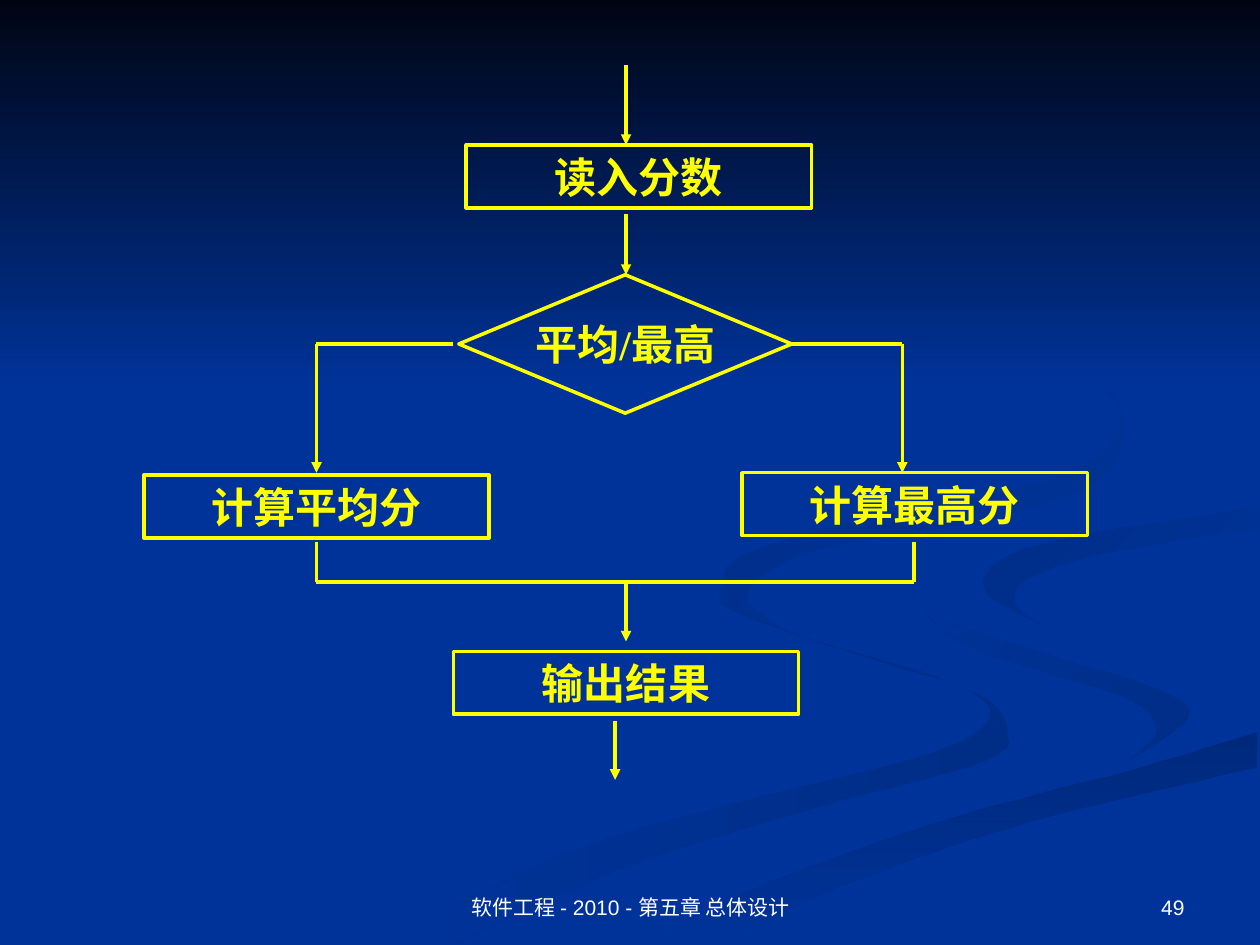
from lxml import etree
from pptx import Presentation
from pptx.dml.color import RGBColor
from pptx.enum.shapes import MSO_CONNECTOR, MSO_SHAPE
from pptx.enum.text import MSO_ANCHOR, PP_ALIGN
from pptx.oxml.ns import qn
from pptx.util import Cm, Pt

RECT, DIAMOND = MSO_SHAPE.RECTANGLE, MSO_SHAPE.FLOWCHART_DECISION
STRAIGHT = MSO_CONNECTOR.STRAIGHT
MIDDLE, BOTTOM = MSO_ANCHOR.MIDDLE, MSO_ANCHOR.BOTTOM
CENTER, RIGHT = PP_ALIGN.CENTER, PP_ALIGN.RIGHT

THEME = {
    "back": RGBColor(0x00, 0x33, 0x99),
    "night": RGBColor(0x00, 0x05, 0x14),
    "shade": RGBColor(0x00, 0x2D, 0x86),
    "deep": RGBColor(0x00, 0x29, 0x7C),
    "flow": RGBColor(0xFF, 0xFF, 0x00),
    "foot": RGBColor(0xFF, 0xFF, 0xFF),
    "flow_size": Pt(24),
    "foot_size": Pt(12),
    "flow_font": "Times New Roman",
    "foot_font": "Arial",
    "stroke": Pt(2),
}


def put_text(shape, text, role="flow", bold=False, align=CENTER, anchor=MIDDLE, wrap=True):
    frame = shape.text_frame
    frame.word_wrap = wrap
    frame.vertical_anchor = anchor
    para = frame.paragraphs[0]
    para.alignment = align
    run = para.add_run()
    run.text = text
    font = run.font
    font.name = THEME[role + "_font"]
    font.size = THEME[role + "_size"]
    font.color.rgb = THEME[role]
    font.bold = bold


def add_line(x1, y1, x2, y2, arrow=False):
    line = slide.shapes.add_connector(STRAIGHT, Cm(x1), Cm(y1), Cm(x2), Cm(y2))
    line.line.color.rgb = THEME["flow"]
    line.line.width = THEME["stroke"]
    if arrow:
        stroke = line.line._get_or_add_ln()
        etree.SubElement(stroke, qn("a:tailEnd"), type="triangle")
    etree.SubElement(line._element.spPr, qn("a:effectLst"))


deck = Presentation()
deck.slide_width, deck.slide_height = Cm(25.4), Cm(19.05)
slide = deck.slides.add_slide(deck.slide_layouts[6])
slide.background.fill.solid()
slide.background.fill.fore_color.rgb = THEME["back"]

# Ribbons: colours, angle and the two edges, each drawn as a smooth curve
GRID = Cm(2.54) / 100
STEPS = 6
ribbons = [
    ("shade", "back", 180,
     [(574, 464), (594, 485), (642, 507), (745, 538), (786, 566), (739, 598),
      (579, 639), (458, 674), (300, 749)],
     [(361, 749), (499, 687), (651, 640), (780, 605), (800, 581), (776, 551),
      (679, 519), (586, 487), (570, 472)]),
    ("shade", "back", 135,
     [(724, 464), (745, 490), (830, 519), (919, 547), (943, 570), (894, 605)],
     [(894, 605), (918, 581), (900, 557), (838, 536), (766, 512), (727, 479)]),
    ("deep", "back", 270,
     [(503, 749), (630, 693), (764, 647), (903, 610), (998, 581)],
     [(998, 609), (821, 651), (670, 702), (571, 749)]),
    ("back", "shade", 135,
     [(826, 496), (782, 469), (799, 442), (865, 424), (998, 402)],
     [(998, 420), (878, 439), (816, 459), (806, 480), (826, 496)]),
    ("back", "shade", 135,
     [(762, 233), (846, 279), (889, 335), (842, 378), (704, 409), (589, 441),
      (580, 474), (622, 500)],
     [(622, 500), (593, 470), (649, 436), (786, 412), (876, 378), (890, 324),
      (843, 275), (762, 233)]),
    ("night", "back", 270, [(0, 0), (1000, 0)], [(1000, 308), (0, 308)]),
]
for first, last, angle, *edges in ribbons:
    points = []
    for edge in edges:
        ends = [edge[0], *edge, edge[-1]]
        for a, b, c, d in zip(ends, ends[1:], ends[2:], ends[3:]):
            for step in range(STEPS):
                t = step / STEPS
                points.append(tuple(
                    q + t / 2 * (r - p + t * (2 * p - 5 * q + 4 * r - s
                                              + t * (3 * q - p - 3 * r + s)))
                    for p, q, r, s in zip(a, b, c, d)))
        points.append(edge[-1])
    path = slide.shapes.build_freeform(*points[0], scale=GRID)
    path.add_line_segments(points[1:], close=True)
    shape = path.convert_to_shape()
    shape.shadow.inherit = False
    shape.line.fill.background()
    shape.fill.gradient()
    shape.fill.gradient_angle = angle
    for stop, tone, place in zip(shape.fill.gradient_stops, (first, last), (0, 1)):
        stop.color.rgb = THEME[tone]
        stop.position = place

# Flow steps
WIDE, HIGH = 6.96, 1.27
steps = [
    ("读入分数", RECT, 9.4, 2.92, WIDE, HIGH),
    ("计算最高分", RECT, 14.96, 9.53, WIDE, HIGH),
    ("计算平均分", RECT, 2.9, 9.58, WIDE, HIGH),
    ("输出结果", RECT, 9.14, 13.13, WIDE, HIGH),
    ("平均/最高", DIAMOND, 9.25, 5.54, 6.71, 2.79),
]
for text, kind, *box in steps:
    shape = slide.shapes.add_shape(kind, *map(Cm, box))
    shape.shadow.inherit = False
    shape.fill.background()
    shape.line.color.rgb = THEME["flow"]
    shape.line.width = THEME["stroke"]
    put_text(shape, text, bold=True, wrap=kind == RECT)

# Main line down the middle
MID, FORK, JOIN = 12.62, 6.93, 11.73
for x, top, end in [(MID, 1.32, 2.92), (MID, 4.32, 5.54),
                    (MID, JOIN, 12.93), (12.4, 14.53, 15.72)]:
    add_line(x, top, x, end, arrow=True)

# Left and right branch, then the join
LEFT, FAR = 6.38, 18.42
for inner, outer, low in [(9.14, LEFT, LEFT), (15.88, 18.19, FAR)]:
    add_line(inner, FORK, outer, FORK)
    add_line(outer, FORK, outer, 9.53, arrow=True)
    add_line(low, 10.92, low, JOIN)
add_line(LEFT, JOIN, FAR, JOIN)

# Footer and page number
for text, x, width, align in [("软件工程 - 2010 - 第五章 总体设计", 8.69, 8.05, CENTER),
                              ("49", 18.21, 5.92, RIGHT)]:
    box = slide.shapes.add_textbox(Cm(x), Cm(17.35), Cm(width), Cm(1.32))
    put_text(box, text, role="foot", align=align, anchor=BOTTOM)

deck.save("out.pptx")
